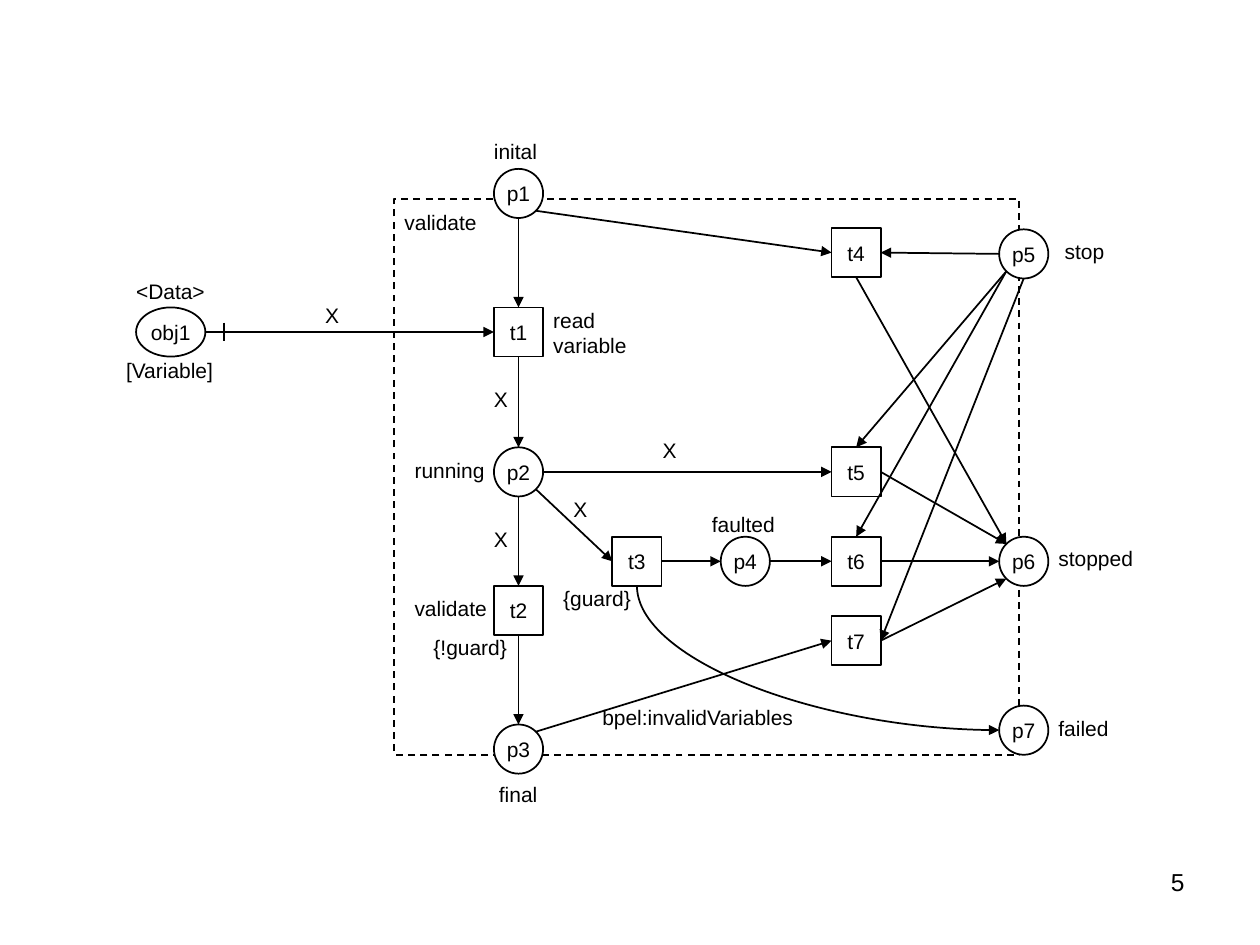
import math
from lxml import etree
from pptx import Presentation
from pptx.dml.color import RGBColor
from pptx.enum.dml import MSO_LINE
from pptx.enum.shapes import MSO_CONNECTOR, MSO_SHAPE
from pptx.enum.text import MSO_ANCHOR, MSO_AUTO_SIZE, PP_ALIGN
from pptx.oxml.ns import qn
from pptx.util import Inches, Pt

RECT, OVAL = MSO_SHAPE.RECTANGLE, MSO_SHAPE.OVAL
STRAIGHT, CURVE = MSO_CONNECTOR.STRAIGHT, MSO_CONNECTOR.CURVE
LEFT, CENTER, RIGHT = PP_ALIGN.LEFT, PP_ALIGN.CENTER, PP_ALIGN.RIGHT
BLACK, WHITE = "000000", "FFFFFF"
SIZE = 0.39
FRAME = (3.13, 1.58, 4.96, 4.41)

# Left edges of the columns
MAIN, FAULT, MID, STEP, EXIT = 3.92, 4.86, 5.72, 6.6, 7.93

# name: left, top, width; names in "t" are transitions, the rest places
NODES = {
    "p1": (MAIN, 1.34, SIZE),
    "t1": (MAIN, 2.44, SIZE),
    "p2": (MAIN, 3.55, SIZE),
    "t2": (MAIN, 4.65, SIZE),
    "p3": (MAIN, 5.75, SIZE),
    "obj1": (1.08, 2.44, 0.55),
    "t3": (FAULT, 4.26, SIZE),
    "p4": (MID, 4.26, SIZE),
    "t4": (STEP, 1.81, SIZE),
    "t5": (STEP, 3.55, SIZE),
    "t6": (STEP, 4.26, SIZE),
    "t7": (STEP, 4.89, SIZE),
    "p5": (EXIT, 1.82, SIZE),
    "p6": (EXIT, 4.26, SIZE),
    "p7": (EXIT, 5.6, SIZE),
}

# from node, side, to node, side
ARCS = [
    ("obj1", "e", "t1", "w"),
    ("p1", "s", "t1", "n"),
    ("t1", "s", "p2", "n"),
    ("p2", "s", "t2", "n"),
    ("t2", "s", "p3", "n"),
    ("p2", "se", "t3", "w"),
    ("t3", "e", "p4", "w"),
    ("p4", "e", "t6", "w"),
    ("t6", "e", "p6", "w"),
    ("p1", "se", "t4", "w"),
    ("p5", "w", "t4", "e"),
    ("t4", "s", "p6", "nw"),
    ("p5", "sw", "t5", "n"),
    ("p5", "sw", "t6", "n"),
    ("p5", "s", "t7", "e"),
    ("p3", "ne", "t7", "w"),
    ("t7", "e", "p6", "sw"),
    ("p2", "e", "t5", "w"),
    ("t5", "e", "p6", "nw"),
]

# text, left, top, width
LABELS = [
    ("inital", 3.92, 1.1, 0.37),
    ("final", 3.96, 6.2, 0.33),
    ("validate", 3.21, 1.66, 0.6),
    ("<Data>", 1.08, 2.21, 0.57),
    ("[Variable]", 1, 2.84, 0.72),
    ("read\nvariable", 4.39, 2.44, 0.62),
    ("running", 3.29, 3.63, 0.58),
    ("validate", 3.29, 4.73, 0.6),
    ("{!guard}", 3.44, 5.04, 0.62),
    ("{guard}", 4.47, 4.65, 0.56),
    ("faulted", 5.65, 4.06, 0.53),
    ("bpel:invalidVariables", 4.78, 5.59, 1.55),
    ("stop", 8.45, 1.89, 0.34),
    ("stopped", 8.4, 4.33, 0.63),
    ("failed", 8.4, 5.68, 0.42),
    ("X", 2.58, 2.4, 0.12),
    ("X", 3.92, 3.07, 0.12),
    ("X", 3.92, 4.18, 0.12),
    ("X", 4.55, 3.94, 0.12),
    ("X", 5.26, 3.47, 0.12),
]

# Connection sites, counted counterclockwise from the top
SITES = {RECT: ["n", "w", "s", "e"],
         OVAL: ["n", "nw", "w", "sw", "s", "se", "e", "ne"]}


def color(code):
    return RGBColor.from_string(code)


def write(frame, text, size, align):
    para = frame.paragraphs[0]
    para.alignment = align
    for i, part in enumerate(text.split("\n")):
        if i:
            para.add_line_break()
        run = para.add_run()
        run.text = part
        run.font.name, run.font.size = "Arial", Pt(size)
        run.font.color.rgb = color(BLACK)


def stroke(item):
    item.line.color.rgb = color(BLACK)
    item.line.width = Pt(1)


def add_box(shapes, kind, *place):
    box = shapes.add_shape(kind, *map(Inches, place))
    box.shadow.inherit = False
    stroke(box)
    return box


def add_node(shapes, name, left, top, width):
    kind = RECT if name.startswith("t") else OVAL
    node = add_box(shapes, kind, left, top, width, SIZE)
    node.fill.solid()
    node.fill.fore_color.rgb = color(WHITE)
    frame = node.text_frame
    frame.word_wrap = False
    frame.vertical_anchor = MSO_ANCHOR.MIDDLE
    write(frame, name, 12, CENTER)
    return node


def add_label(shapes, text, left, top, width):
    high = 0.2 * len(text.split("\n"))
    frame = shapes.add_textbox(*map(Inches, (left, top, width, high))).text_frame
    frame.margin_left = frame.margin_right = 0
    frame.margin_top = frame.margin_bottom = 0
    frame.word_wrap = False
    frame.auto_size = MSO_AUTO_SIZE.SHAPE_TO_FIT_TEXT
    write(frame, text, 12, LEFT)


def site(name, side):
    """Give the point on a node's edge that lies on the named side."""
    left, top, width = NODES[name]
    reach = math.sqrt(0.5) if len(side) == 2 else 1
    across = ("e" in side) - ("w" in side)
    down = ("s" in side) - ("n" in side)
    return (left + width / 2 * (1 + across * reach),
            top + SIZE / 2 * (1 + down * reach))


def add_line(shapes, start, end, kind=STRAIGHT, arrow=True):
    line = shapes.add_connector(kind, *map(Inches, (*start, *end)))
    stroke(line)
    if arrow:
        etree.SubElement(line.line._get_or_add_ln(), qn("a:tailEnd"), type="triangle")
    etree.SubElement(line._element.spPr, qn("a:effectLst"))
    return line


def glue(line, tag, node, side):
    spot = SITES[node.auto_shape_type].index(side)
    ends = line._element.find(".//" + qn("p:cNvCxnSpPr"))
    etree.SubElement(ends, qn(tag), id=str(node.shape_id), idx=str(spot))


def add_bend(shapes, start, end):
    """Add a quarter curve that leaves downward and arrives from the left."""
    line = add_line(shapes, start, end, CURVE)
    wide, high = line.width, line.height
    line.left += (wide - high) // 2
    line.top += (high - wide) // 2
    line.width, line.height = high, wide
    props = line._element.spPr
    props.find(qn("a:prstGeom")).set("prst", "curvedConnector2")
    turn = props.find(qn("a:xfrm"))
    turn.set("rot", str(270 * 60000))
    turn.set("flipH", "1")


def main():
    deck = Presentation()
    deck.slide_width, deck.slide_height = Inches(10), Inches(7.5)
    shapes = deck.slides.add_slide(deck.slide_layouts[6]).shapes

    frame = add_box(shapes, RECT, *FRAME)
    frame.fill.background()
    frame.line.dash_style = MSO_LINE.DASH

    nodes = {name: add_node(shapes, name, *place) for name, place in NODES.items()}
    for tail, out, head, into in ARCS:
        line = add_line(shapes, site(tail, out), site(head, into))
        glue(line, "a:stCxn", nodes[tail], out)
        glue(line, "a:endCxn", nodes[head], into)
    add_bend(shapes, site("t3", "s"), site("p7", "w"))
    add_line(shapes, (1.78, 2.56), (1.78, 2.71), arrow=False)

    for label in LABELS:
        add_label(shapes, *label)
    page = shapes.add_textbox(*map(Inches, (7.17, 6.83, 2.33, 0.52))).text_frame
    page.word_wrap = True
    write(page, "5", 14, RIGHT)
    deck.save("out.pptx")


if __name__ == "__main__":
    main()
